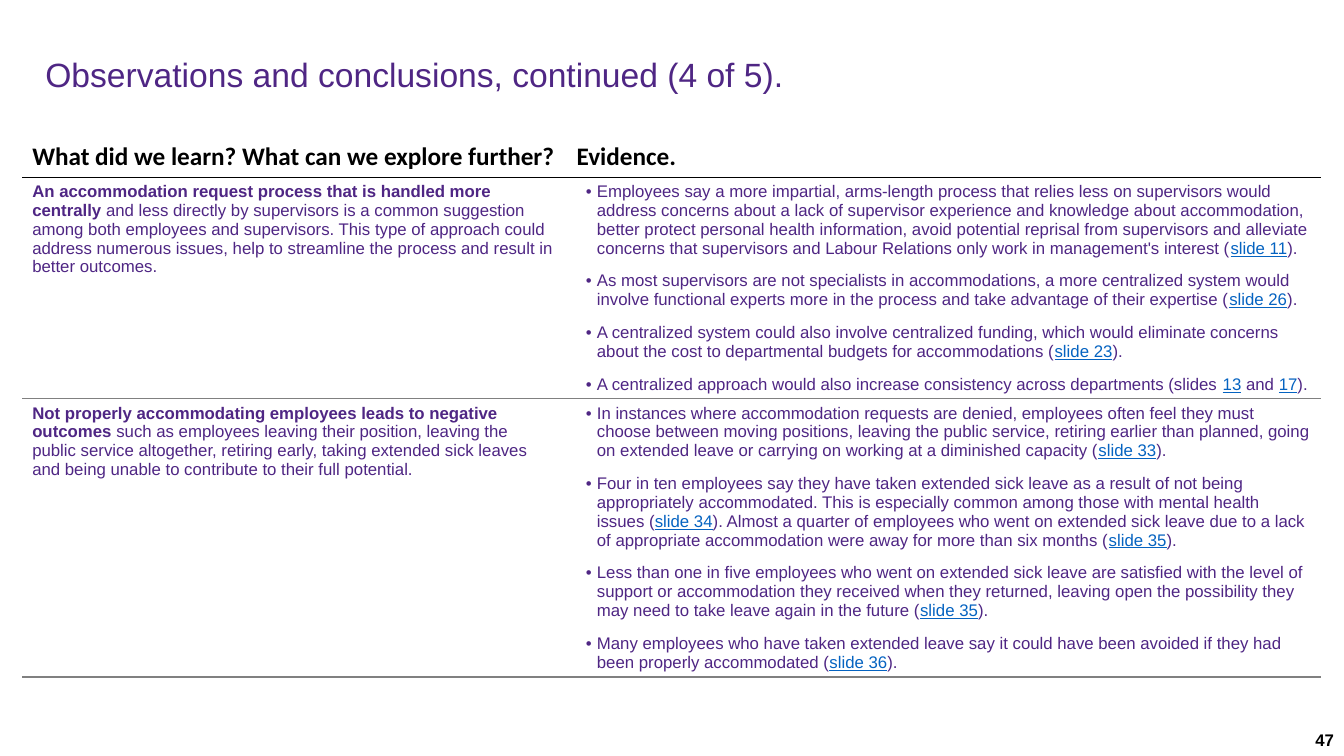
from lxml.etree import SubElement
from pptx import Presentation
from pptx.dml.color import RGBColor
from pptx.enum.text import MSO_ANCHOR, PP_ALIGN
from pptx.oxml.ns import qn
from pptx.util import Inches, Pt

HEADING = "Observations and conclusions, continued (4 of 5)."
PAGE = "47"
HEADERS = ["What did we learn? What can we explore further?", "Evidence."]
FINDINGS = [
    {
        "lead": "An accommodation request process that is handled more centrally ",
        "rest": "and less directly by supervisors is a common suggestion among both employees and supervisors. This type of approach could address numerous issues, help to streamline the process and result in better outcomes.",
        "evidence": [
            "Employees say a more impartial, arms-length process that relies less on supervisors would address concerns about a lack of supervisor experience and knowledge about accommodation, better protect personal health information, avoid potential reprisal from supervisors and alleviate concerns that supervisors and Labour Relations only work in management's interest (|slide 11|).",
            "As most supervisors are not specialists in accommodations, a more centralized system would involve functional experts more in the process and take advantage of their expertise (|slide 26|).",
            "A centralized system could also involve centralized funding, which would eliminate concerns about the cost to departmental budgets for accommodations (|slide 23|).",
            "A centralized approach would also increase consistency across departments (slides |13| and |17|).",
        ],
    },
    {
        "lead": "Not properly accommodating employees leads to negative outcomes ",
        "rest": "such as employees leaving their position, leaving the public service altogether, retiring early, taking extended sick leaves and being unable to contribute to their full potential.",
        "evidence": [
            "In instances where accommodation requests are denied, employees often feel they must choose between moving positions, leaving the public service, retiring earlier than planned, going on extended leave or carrying on working at a diminished capacity (|slide 33|).",
            "Four in ten employees say they have taken extended sick leave as a result of not being appropriately accommodated. This is especially common among those with mental health issues (|slide 34|). Almost a quarter of employees who went on extended sick leave due to a lack of appropriate accommodation were away for more than six months (|slide 35|).",
            "Less than one in five employees who went on extended sick leave are satisfied with the level of support or accommodation they received when they returned, leaving open the possibility they may need to take leave again in the future (|slide 35|).",
            "Many employees who have taken extended leave say it could have been avoided if they had been properly accommodated (|slide 36|).",
        ],
    },
]

COLORS = {"purple": "4F2684", "link": "0563C1", "black": "000000", "gray": "808080"}
FORMATS = {
    "heading": {"name": "Arial", "size": Pt(24), "bold": False, "color": "purple"},
    "header": {"name": "Calibri", "size": Pt(18), "bold": True, "color": "black"},
    "lead": {"name": "Arial", "size": Pt(12), "bold": True, "color": "purple"},
    "body": {"name": "Arial", "size": Pt(12), "bold": False, "color": "purple"},
    "link": {"name": "Arial", "size": Pt(12), "bold": False, "underline": True, "color": "link"},
    "page": {"name": "Arial", "size": Pt(12), "bold": True, "color": "black"},
}
SLIDE_SIZE = (13.33, 7.5)
HEADING_AREA = (0.45, 0.56, 12.71, 0.4)
TABLE_ORIGIN = (0.22, 1.35)
COLUMNS = (5.4, 7.48)
ROWS = (0.41, 2.19, 2.76)
PAGE_SIZE = (3, 0.32)
PLAIN_STYLE = "{2D5ABB26-0587-4C30-8999-92F81FD0307C}"


def write(paragraph, text, style):
    run = paragraph.add_run()
    run.text = text
    for key, value in FORMATS[style].items():
        if key == "color":
            run.font.color.rgb = RGBColor.from_string(COLORS[value])
        else:
            setattr(run.font, key, value)


def add_bullet(paragraph):
    properties = paragraph._p.get_or_add_pPr()
    properties.set("marL", str(Inches(0.2)))
    properties.set("indent", str(Inches(-0.11)))
    SubElement(properties, qn("a:buFont"), typeface="Arial")
    SubElement(properties, qn("a:buChar"), char="•")


def rule(cell, edge, color):
    line = SubElement(cell._tc.get_or_add_tcPr(), qn(f"a:{edge}"), w=str(Pt(1)))
    fill = SubElement(line, qn("a:solidFill"))
    SubElement(fill, qn("a:srgbClr"), val=COLORS[color])


def write_evidence(frame, points):
    for index, point in enumerate(points):
        paragraph = frame.add_paragraph() if index else frame.paragraphs[0]
        add_bullet(paragraph)
        paragraph.space_before = Pt(10 if index else 0)
        for part, text in enumerate(point.split("|")):
            write(paragraph, text, "link" if part % 2 else "body")


def main():
    deck = Presentation()
    deck.slide_width, deck.slide_height = map(Inches, SLIDE_SIZE)
    slide = deck.slides.add_slide(deck.slide_layouts[5])

    heading = slide.shapes.title
    for side, length in zip(("left", "top", "width", "height"), HEADING_AREA):
        setattr(heading, side, Inches(length))
    frame = heading.text_frame
    frame_format = {
        "margin_left": 0, "margin_right": 0,
        "margin_top": Inches(0.02), "margin_bottom": Inches(0.02),
        "word_wrap": True, "vertical_anchor": MSO_ANCHOR.MIDDLE,
    }
    for key, value in frame_format.items():
        setattr(frame, key, value)
    frame.paragraphs[0].alignment = PP_ALIGN.LEFT
    frame.paragraphs[0].line_spacing = 0.9
    write(frame.paragraphs[0], HEADING, "heading")

    area = (*TABLE_ORIGIN, sum(COLUMNS), sum(ROWS))
    findings = slide.shapes.add_table(len(ROWS), len(COLUMNS), *map(Inches, area)).table
    findings._tbl.tblPr.find(qn("a:tableStyleId")).text = PLAIN_STYLE
    findings.first_row = findings.horz_banding = False
    for column, width in zip(findings.columns, COLUMNS):
        column.width = Inches(width)
    for row, height in zip(findings.rows, ROWS):
        row.height = Inches(height)

    for column, header in enumerate(HEADERS):
        write(findings.cell(0, column).text_frame.paragraphs[0], header, "header")
    for row, finding in enumerate(FINDINGS, 1):
        lesson = findings.cell(row, 0).text_frame.paragraphs[0]
        write(lesson, finding["lead"], "lead")
        write(lesson, finding["rest"], "body")
        write_evidence(findings.cell(row, 1).text_frame, finding["evidence"])

    edges = (None, "black", "gray", "gray")
    for row in range(len(ROWS)):
        for column in range(len(COLUMNS)):
            cell = findings.cell(row, column)
            if edges[row]:
                rule(cell, "lnT", edges[row])
            rule(cell, "lnB", edges[row + 1])
            cell.fill.background()

    corner = [whole - part for whole, part in zip(SLIDE_SIZE, PAGE_SIZE)]
    page = slide.shapes.add_textbox(*map(Inches, (*corner, *PAGE_SIZE))).text_frame
    page.word_wrap = True
    page.vertical_anchor = MSO_ANCHOR.MIDDLE
    page.paragraphs[0].alignment = PP_ALIGN.RIGHT
    write(page.paragraphs[0], PAGE, "page")

    deck.save("out.pptx")


if __name__ == "__main__":
    main()
